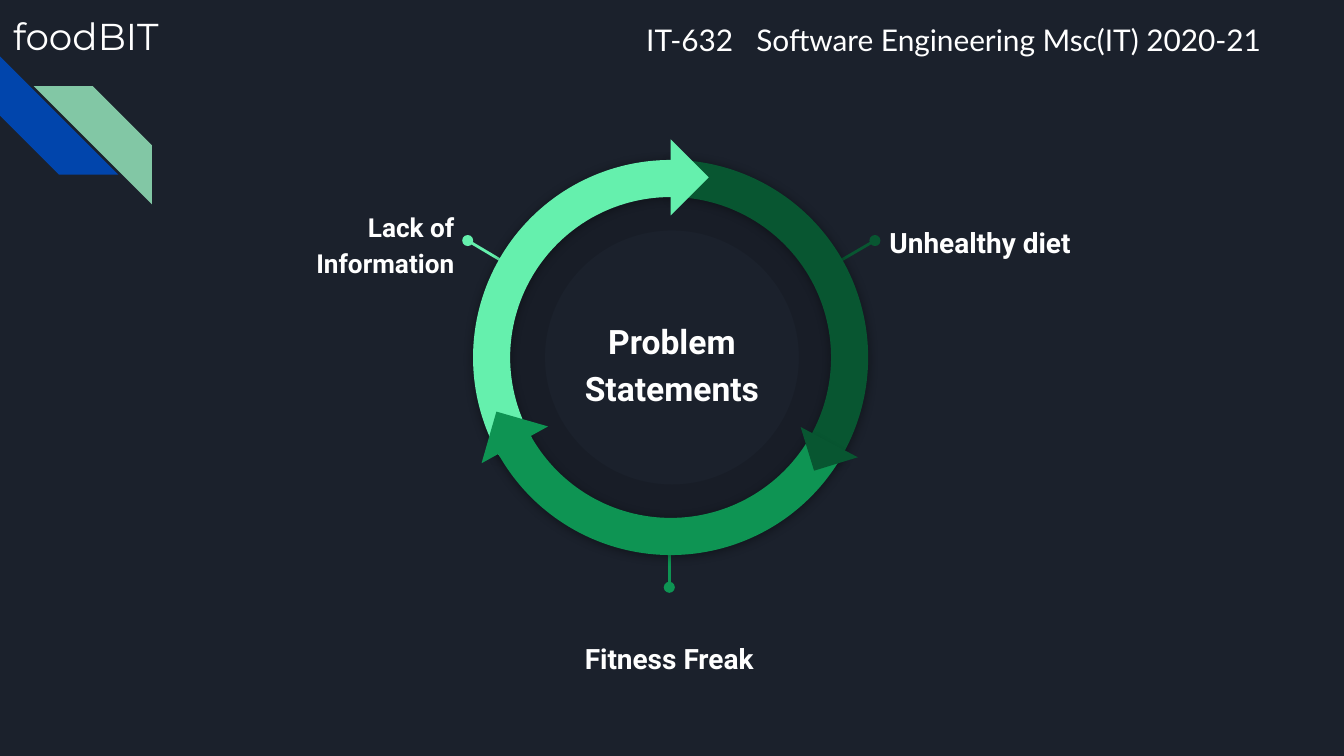
from lxml import etree
from pptx import Presentation
from pptx.dml.color import RGBColor as RGB
from pptx.enum.shapes import MSO_CONNECTOR as LINE, MSO_SHAPE as SHAPE
from pptx.enum.text import MSO_ANCHOR as ANCHOR, MSO_AUTO_SIZE as AUTO, PP_ALIGN as ALIGN
from pptx.oxml.ns import qn
from pptx.util import Inches, Pt

NIGHT = RGB(0x1B, 0x21, 0x2C)
WHITE = RGB(0xFF, 0xFF, 0xFF)
BLACK = RGB(0x00, 0x00, 0x00)
BLUE = RGB(0x01, 0x45, 0xAC)
SAGE = RGB(0x82, 0xC7, 0xA5)
DARK = RGB(0x08, 0x56, 0x31)
MINT = RGB(0x65, 0xF0, 0xAD)
GREEN = RGB(0x0E, 0x94, 0x53)


def add_shape(slide, kind, box, color, turn=0, adjust=()):
    shape = slide.shapes.add_shape(kind, *map(Inches, box))
    shape.shadow.inherit = False
    shape.fill.solid()
    shape.fill.fore_color.rgb = color
    shape.line.fill.background()
    shape.rotation = turn
    for i, value in enumerate(adjust):
        shape.adjustments[i] = value
    return shape


def set_alpha(color, percent):
    etree.SubElement(color, qn("a:alpha"), val=str(percent * 1000))


def add_shadow(shape):
    effects = shape._element.spPr.find(qn("a:effectLst"))
    outer = etree.SubElement(effects, qn("a:outerShdw"), blurRad=str(Pt(5.6)),
                             dist=str(Pt(0.8)), dir="5400000",
                             algn="bl", rotWithShape="0")
    set_alpha(etree.SubElement(outer, qn("a:srgbClr"), val=str(BLACK)), 40)


def add_pin(slide, start, end, color):
    pin = slide.shapes.add_connector(LINE.STRAIGHT, *map(Inches, start + end))
    pin.line.color.rgb = color
    pin.line.width = Pt(1.5)
    etree.SubElement(pin.line._ln, qn("a:headEnd"), type="oval")
    etree.SubElement(pin._element.spPr, qn("a:effectLst"))


def set_text(shape, text, size, face="Roboto", align=ALIGN.LEFT, bold=True,
             space=1.15, top=0.1, tab=None):
    frame = shape.text_frame
    frame.word_wrap = True
    frame.auto_size = AUTO.NONE
    frame.margin_left = frame.margin_right = frame.margin_bottom = Inches(0.1)
    frame.margin_top = Inches(top)
    frame.text = text
    para = frame.paragraphs[0]
    if tab:
        stops = etree.Element(qn("a:tabLst"))
        etree.SubElement(stops, qn("a:tab"), pos=str(Inches(tab)), algn="l")
        para._p.get_or_add_pPr().insert(0, stops)
    para.alignment = align
    para.line_spacing = space
    font = para.font
    font.name, font.size, font.bold = face, Pt(size), bold
    font.color.rgb = WHITE


def add_text(slide, box, text, size, **style):
    set_text(slide.shapes.add_textbox(*map(Inches, box)), text, size, **style)


def add_title(slide):
    title = slide.shapes.title
    title.left, title.top, title.width, title.height = map(
        Inches, (4.21, 2.25, 1.58, 0.88))
    set_text(title, "Problem Statements", 18, align=ALIGN.CENTER)
    title.text_frame.vertical_anchor = ANCHOR.MIDDLE


def add_ring(slide):
    disc = add_shape(slide, SHAPE.DONUT, (3.61, 1.27, 2.78, 2.78), BLACK,
                     adjust=[0.16])
    set_alpha(disc.fill._xPr.find(qn("a:solidFill"))[0], 11)
    # Three arcs of a third of a turn, each ending just under its tip
    for turn, color in ((30, DARK), (270, MINT), (150, GREEN)):
        arc = add_shape(slide, SHAPE.BLOCK_ARC, (3.52, 1.19, 2.94, 2.94),
                        color, turn, [144, 0.8, 0.094])
        add_shadow(arc)
    # Arrow tips
    for left, top, side, turn, color in ((4.79, 1.12, 0.4, 225, MINT),
                                         (6, 3.12, 0.34, 342.9, DARK),
                                         (3.63, 3.11, 0.4, 106, GREEN)):
        add_shape(slide, SHAPE.RIGHT_TRIANGLE, (left, top, side, side),
                  color, turn)


def add_labels(slide):
    wide, high = 1.64, 0.73
    labels = (
        ("Lack of Information", 14, (1.84, 1.44), ALIGN.RIGHT, 0.1,
         (3.48, 1.79), (3.95, 2.07), MINT),
        ("Unhealthy diet", 15, (6.52, 1.44), ALIGN.LEFT, 0.2,
         (6.51, 1.79), (6.03, 2.07), DARK),
        ("Fitness Freak", 15, (4.16, 4.38), ALIGN.CENTER, 0.36,
         (4.98, 4.37), (4.98, 3.87), GREEN),
    )
    for text, size, place, align, top, start, end, color in labels:
        add_pin(slide, start, end, color)
        add_text(slide, place + (wide, high), text, size, align=align, top=top)


def main():
    deck = Presentation()
    deck.slide_width = Inches(10)
    deck.slide_height = deck.slide_width * 9 // 16
    slide = deck.slides.add_slide(deck.slide_layouts[5])
    slide.background.fill.solid()
    slide.background.fill.fore_color.rgb = NIGHT

    # Corner stripes
    for left, top, turn, color in ((0, 0.42, 270, BLUE), (0.25, 0.64, 90, SAGE)):
        add_shape(slide, SHAPE.DIAGONAL_STRIPE, (left, top, 0.88, 0.88),
                  color, turn, [0.5])

    # Cycle
    add_title(slide)
    add_labels(slide)
    add_ring(slide)

    # Header
    plain = dict(bold=False, space=1.0)
    add_text(slide, (4.71, 0.06, 5.15, 0.47),
             "IT-632\tSoftware Engineering Msc(IT) 2020-21", 16,
             face="Lato", tab=0.82, **plain)
    add_text(slide, (0, 0, 2.01, 0.54), "foodBIT", 20, face="Montserrat", **plain)
    deck.save("out.pptx")


main()
